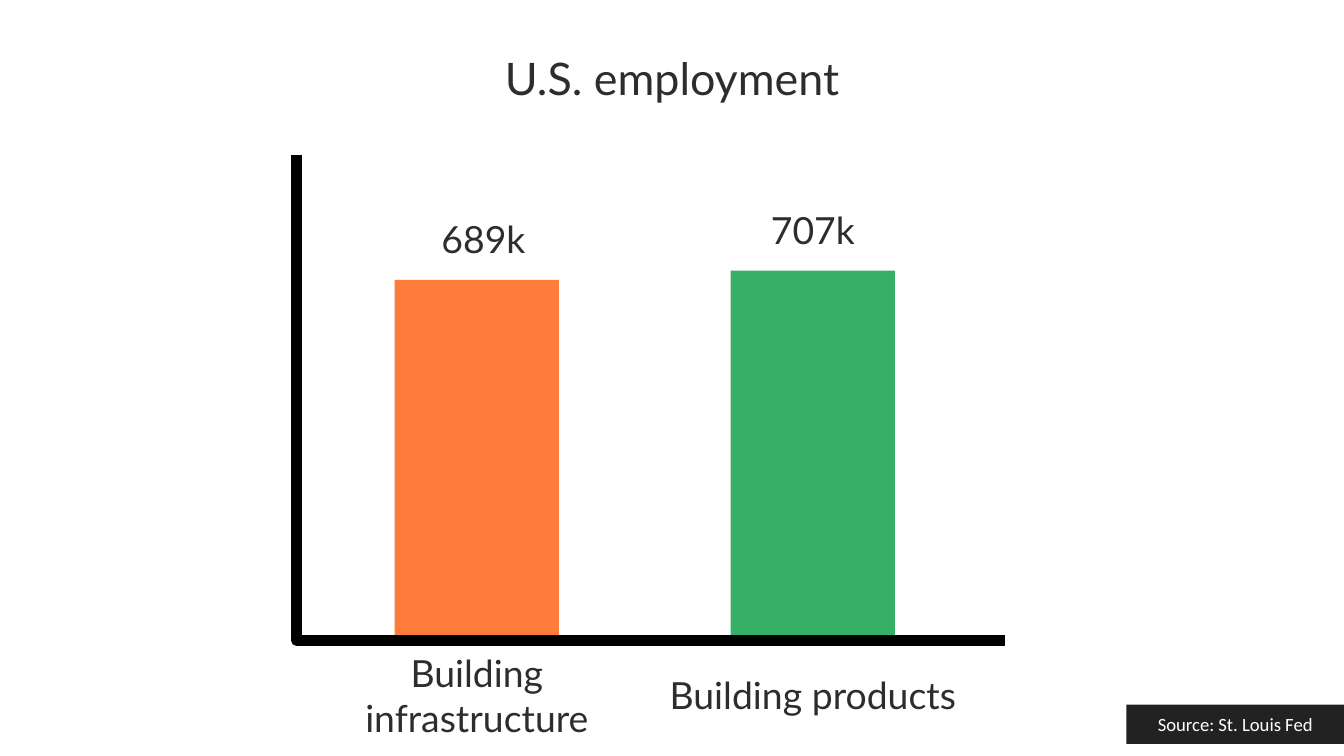
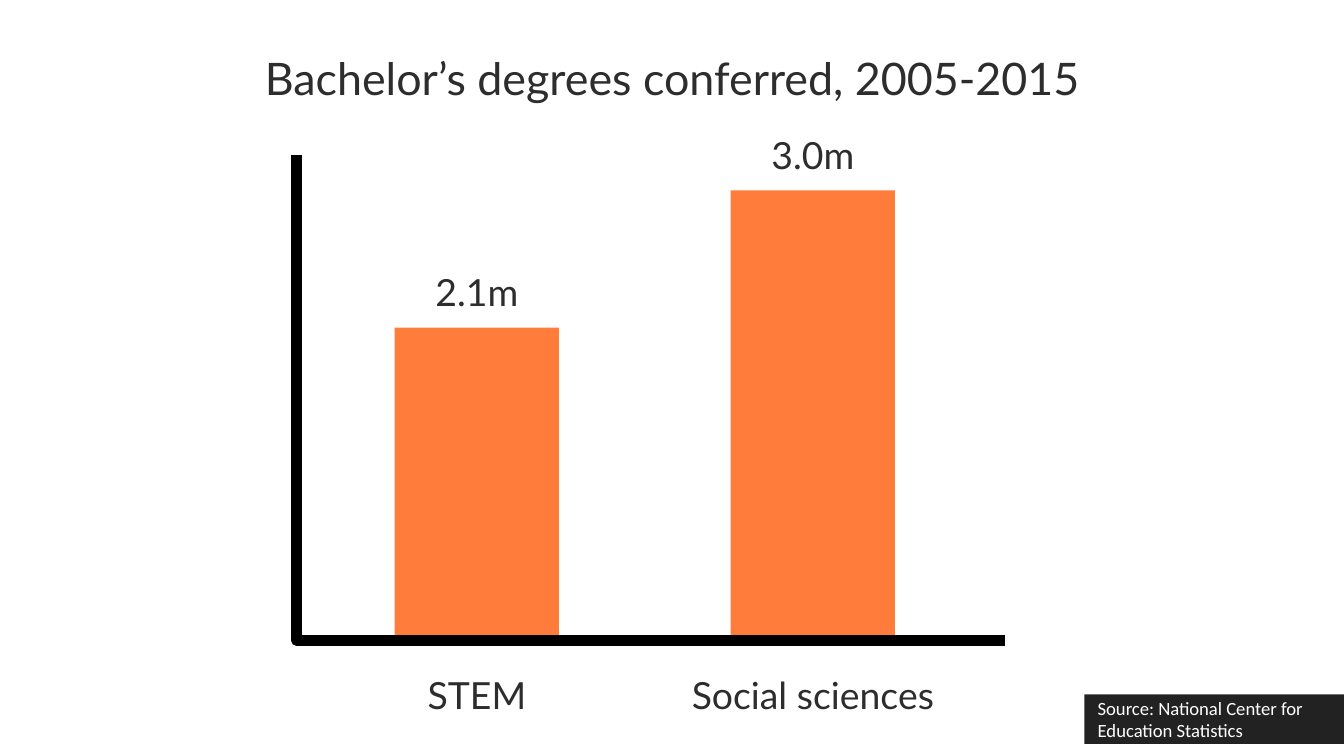
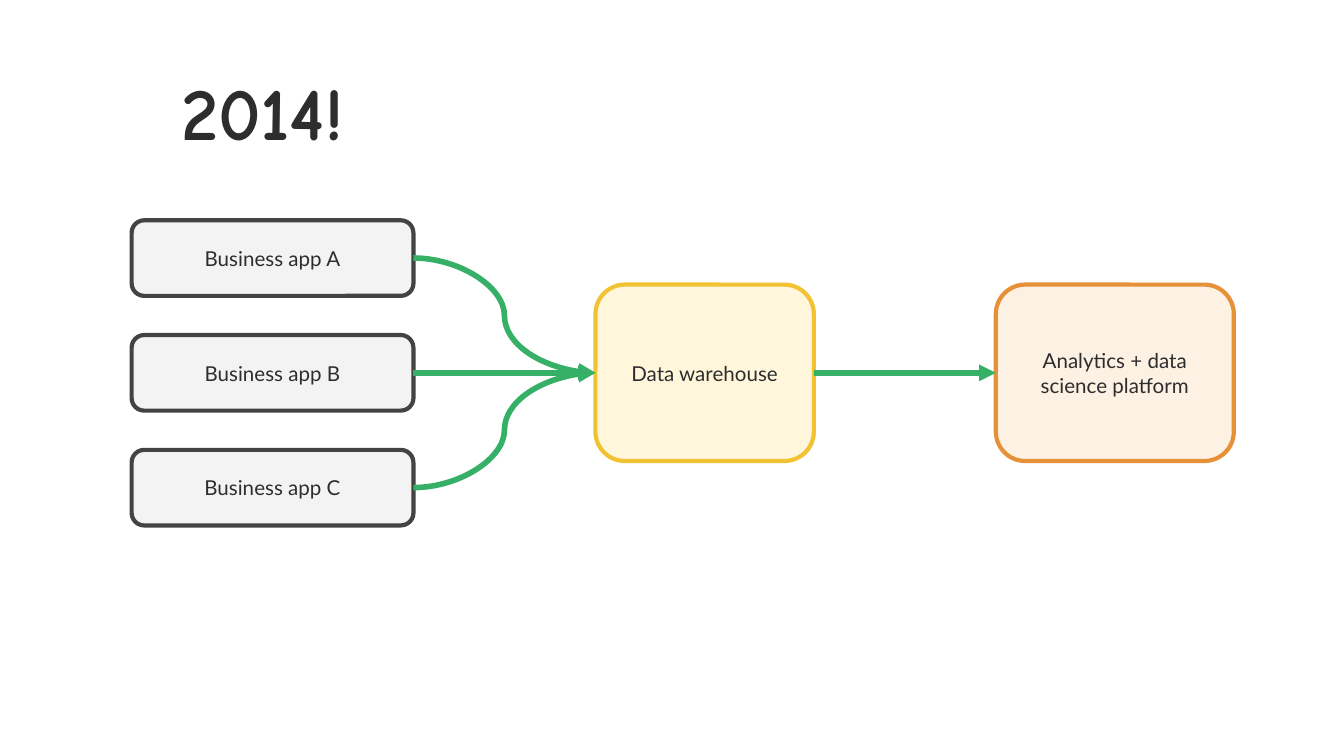
from dataclasses import dataclass

from lxml import etree
from pptx import Presentation
from pptx.dml.color import RGBColor
from pptx.enum.shapes import MSO_CONNECTOR, MSO_SHAPE
from pptx.enum.text import MSO_ANCHOR as ANCHOR, PP_ALIGN as ALIGN
from pptx.oxml.ns import qn
from pptx.util import Pt

INK = RGBColor(0x2D, 0x2D, 0x2D)
BLACK = RGBColor(0, 0, 0)
WHITE = RGBColor(0xFF, 0xFF, 0xFF)
ORANGE = RGBColor(0xFF, 0x7C, 0x3A)
GREEN = RGBColor(0x37, 0xB0, 0x67)
TAG_FILL = RGBColor(0x22, 0x22, 0x22)
APP_FILL = RGBColor(0xF3, 0xF3, 0xF3)
APP_LINE = RGBColor(0x43, 0x43, 0x43)
STORE_FILL = RGBColor(0xFF, 0xF2, 0xCC)
STORE_LINE = RGBColor(0xF1, 0xC2, 0x32)
PLATFORM_FILL = RGBColor(0xFC, 0xF1, 0xE3)
PLATFORM_LINE = RGBColor(0xE6, 0x91, 0x38)

BODY_FONT = "Lato"
TAG_FONT = "Calibri"
ACCENT_FONT = "Comic Neue"
SLIDE_W, SLIDE_H = 720, 405


@dataclass
class Box:
    """A rectangle in points."""
    left: float
    top: float
    width: float
    height: float

    def emu(self):
        return [Pt(v) for v in (self.left, self.top, self.width, self.height)]


@dataclass
class Bar:
    value: str
    category: str
    height: float
    color: RGBColor
    value_shift: float = 0


TITLE_BOX = Box(61.5, 15, 597, 53.5)
CHART_BOX = Box(159, 82.8, 379.5, 260.2)
FLOW_BOX = Box(70.5, 118, 590.5, 163.5)


def write(sp, text, size, color=INK, font=BODY_FONT, align=ALIGN.CENTER,
          anchor=ANCHOR.MIDDLE, bold=False):
    tf = sp.text_frame
    tf.word_wrap = True
    tf.vertical_anchor = anchor
    tf.margin_left = tf.margin_right = tf.margin_top = tf.margin_bottom = Pt(7.2)
    p = tf.paragraphs[0]
    p.text = text
    p.alignment = align
    r = p.runs[0]
    r.font.size, r.font.name, r.font.bold = Pt(size), font, bold
    r.font.color.rgb = color


def add_text(slide, box, text, size, **style):
    write(slide.shapes.add_textbox(*box.emu()), text, size, **style)


def add_block(slide, kind, box, fill, line=None):
    sp = slide.shapes.add_shape(kind, *box.emu())
    sp.shadow.inherit = False
    sp.fill.solid()
    sp.fill.fore_color.rgb = fill
    if line is None:
        sp.line.fill.background()
    else:
        sp.line.color.rgb = line
        sp.line.width = Pt(2.25)
    return sp


def add_axes(slide, box):
    """Draw the L of the two axes as one thick line."""
    bottom = box.top + box.height
    builder = slide.shapes.build_freeform(Pt(box.left), Pt(box.top))
    builder.add_line_segments([(Pt(box.left), Pt(bottom)),
                               (Pt(box.left + box.width), Pt(bottom))], close=False)
    sp = builder.convert_to_shape()
    sp.shadow.inherit = False
    sp.fill.background()
    sp.line.color.rgb = BLACK
    sp.line.width = Pt(6)
    etree.SubElement(sp.line._get_or_add_ln(), qn("a:round"))


def add_bars(slide, box, bars, value_drop):
    """Stand the bars on the base axis, with values above and categories below."""
    bar_w, label_w, label_h = 88, 176, 53.5
    base = box.top + box.height - 2
    for i, bar in enumerate(bars):
        left = box.left + 52.5 + i * 180
        label_left = left + (bar_w - label_w) / 2
        top = base - bar.height
        add_block(slide, MSO_SHAPE.RECTANGLE, Box(left, top, bar_w, bar.height), bar.color)
        add_text(slide, Box(label_left + bar.value_shift, top - label_h + value_drop,
                            label_w, label_h), bar.value, 20)
        add_text(slide, Box(label_left, base + 4.6, label_w, label_h), bar.category, 20)


def add_source_tag(slide, text, width, height, align):
    """Place the source note against the right edge, near the bottom."""
    box = Box(SLIDE_W - width, SLIDE_H - 6.5 - height, width, height)
    sp = add_block(slide, MSO_SHAPE.RECTANGLE, box, TAG_FILL)
    write(sp, text, 10, WHITE, TAG_FONT, align)


def bar_slide(slide, title, bars, value_drop, source):
    add_text(slide, TITLE_BOX, title, 24)
    add_bars(slide, CHART_BOX, bars, value_drop)
    add_axes(slide, CHART_BOX)
    add_source_tag(slide, *source)


def add_node(slide, box, text, fill, line):
    sp = add_block(slide, MSO_SHAPE.ROUNDED_RECTANGLE, box, fill, line)
    write(sp, text, 11)
    return sp


def add_arrow(slide, start, end):
    """Run a curved arrow from the right side of start to the left side of end."""
    cx = slide.shapes.add_connector(MSO_CONNECTOR.CURVE, 0, 0, 0, 0)
    cx.begin_connect(start, 3)
    cx.end_connect(end, 1)
    cx.line.color.rgb = GREEN
    cx.line.width = Pt(3)
    etree.SubElement(cx.line._get_or_add_ln(), qn("a:tailEnd"), type="triangle")
    etree.SubElement(cx._element.spPr, qn("a:effectLst"))


def flow_slide(slide, box):
    add_text(slide, Box(90, 42.5, 393, 48), "2014!", 40, font=ACCENT_FONT,
             align=ALIGN.LEFT, anchor=ANCHOR.BOTTOM, bold=True)
    app_h, node_h, platform_w = 40.5, 94.5, 127.5
    pitch = (box.height - app_h) / 2
    node_top = box.top + (box.height - node_h) / 2
    apps = [add_node(slide, Box(box.left, box.top + i * pitch, 151, app_h),
                     f"Business app {letter}", APP_FILL, APP_LINE)
            for i, letter in enumerate("ABC")]
    store = add_node(slide, Box(box.left + 248.5, node_top, 117, node_h),
                     "Data warehouse", STORE_FILL, STORE_LINE)
    store_color = store._element.spPr.find(qn("a:solidFill"))[0]
    etree.SubElement(store_color, qn("a:alpha"), val="68000")
    platform = add_node(slide, Box(box.left + box.width - platform_w, node_top,
                                   platform_w, node_h),
                        "Analytics + data science platform", PLATFORM_FILL, PLATFORM_LINE)
    for app in apps:
        add_arrow(slide, app, store)
    add_arrow(slide, store, platform)


def main():
    prs = Presentation()
    prs.slide_width, prs.slide_height = Pt(SLIDE_W), Pt(SLIDE_H)
    employment, degrees, flow = [prs.slides.add_slide(prs.slide_layouts[6])
                                 for _ in range(3)]
    bar_slide(employment, "U.S. employment",
              [Bar("689k", "Building infrastructure", 191, ORANGE, value_shift=3.5),
               Bar("707k", "Building products", 196, GREEN)],
              4.5, ("Source: St. Louis Fed", 116.5, 21, ALIGN.CENTER))
    bar_slide(degrees, "Bachelor’s degrees conferred, 2005-2015",
              [Bar("2.1m", "STEM", 165.5, ORANGE),
               Bar("3.0m", "Social sciences", 239, ORANGE)],
              7.5, ("Source: National Center for Education Statistics", 139, 26.5,
                    ALIGN.LEFT))
    flow_slide(flow, FLOW_BOX)
    prs.save("out.pptx")


if __name__ == "__main__":
    main()
